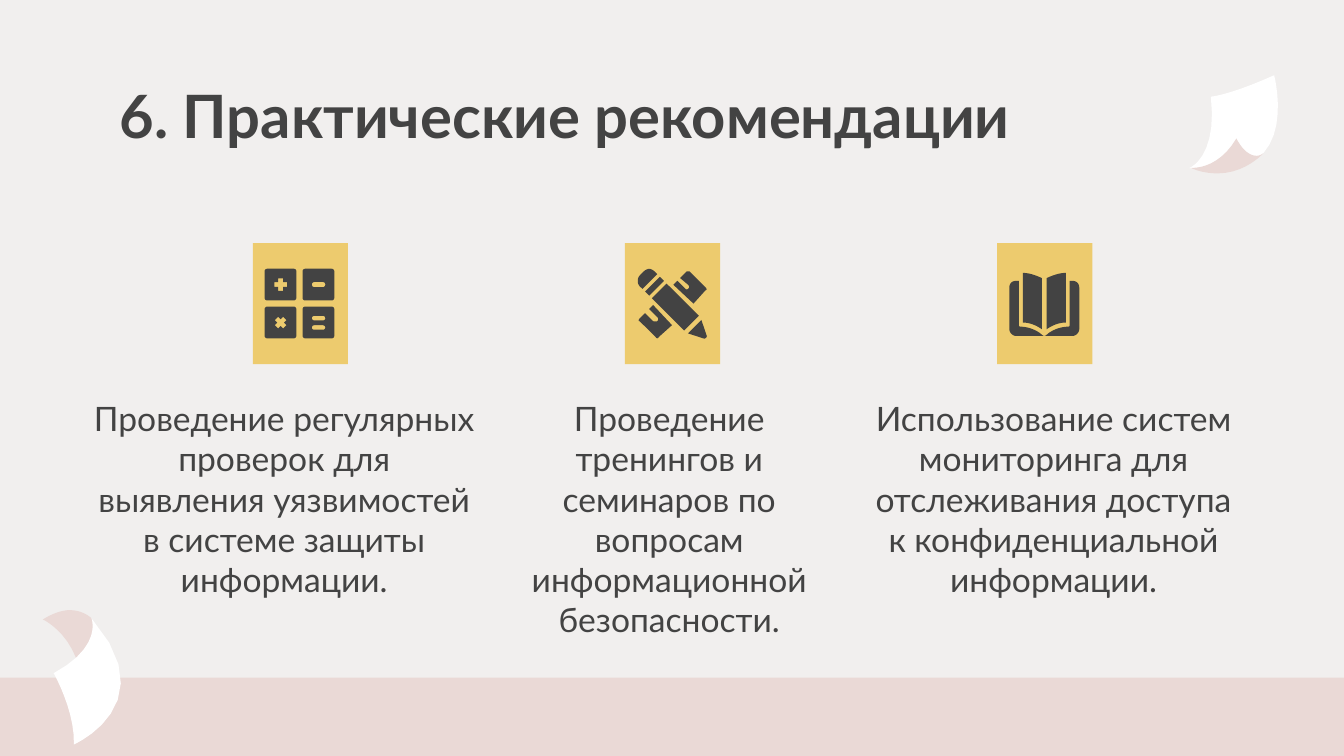
import math

import pptx
import pptx.dml.color
import pptx.enum.shapes
import pptx.enum.text
import pptx.util

Pt = pptx.util.Pt
INK, PAPER, ROSE, GOLD, WHITE = "434343", "F1EFEE", "EAD9D6", "EDCB6E", "FFFFFF"

# Outlines: M, L and C commands as in SVG, in points
CORNER_SHEETS = [
    ("M 682.6 40.3 C 682.6 40.3 689.8 67.7 676.8 82.1 C 676.8 82.1 666 92.2 650.9 92.2 "
     "C 646.6 92.2 642.2 91.4 637.2 90 C 637.2 90 652.3 84.2 648.7 51.8 "
     "C 649.4 51.8 660.2 50.4 682.6 40.3", WHITE),
    ("M 662.4 74.2 C 662.4 74.2 666.7 83.5 673.2 83.5 C 674.6 83.5 676.1 82.8 676.8 82.1 "
     "C 676.8 82.1 667.4 92.9 652.3 92.9 C 648 92.9 643 92.2 637.9 90 "
     "C 643 90 653.8 88.6 662.4 74.2", ROSE),
    ("M 42.5 357.8 C 42.5 357.8 57.6 344.9 49 331.2 C 49 331.2 44.6 326.9 37.4 326.9 "
     "C 33.8 326.9 28.8 328.3 23 331.9 C 23 331.9 37.4 338.4 42.5 357.8", ROSE),
    ("M 39.6 398.9 C 39.6 398.9 89.3 377.3 49 331.2 C 49 331.2 55.4 346.3 28.8 360.7 "
     "C 28.8 360.7 40.3 380.9 39.6 398.9", WHITE),
]

# Icon outlines are measured from the corner of their card
PENCIL_AND_RULER = [
    "M 18.7 18 L 10.8 25.9 L 13 28.1 L 20.9 20.2",
    "M 33.8 15.1 L 33.1 15.1 L 29.5 18.7 L 33.8 22.3 C 34.6 23.1 34.6 23.8 33.8 24.5 "
    "C 33.4 24.9 32.8 24.9 32.4 24.5 L 28.1 20.2 L 25.9 22.3 L 36.7 32.4 L 43.2 25.2 "
    "C 43.9 25.2 43.9 24.5 43.2 23.8 L 34.6 15.1",
    "M 22.3 21.6 L 14.4 29.5 L 31.7 46.8 L 39.6 38.9",
    "M 41 41.1 L 33.8 48.3 L 42.5 51.1 C 43.2 51.1 43.9 50.4 43.9 49.7",
    "M 15.1 33.1 L 13 35.3 L 17.3 39.6 C 18 40.3 18 41.1 17.3 41.8 "
    "C 16.6 42 15.8 42 15.1 41.8 L 10.8 37.5 L 7.9 40.3 C 7.2 41.1 7.2 41.8 7.9 41.8 "
    "L 16.6 50.4 C 16.6 51.1 18 51.1 18 50.4 L 25.2 43.9",
    "M 13 13.7 C 12.2 13.7 10.8 14.4 10.1 15.1 L 7.9 17.3 C 6.5 18.7 6.5 21.6 7.9 23.1 "
    "L 9.4 24.5 L 17.3 16.6 L 15.8 15.1 C 15.1 14.4 13.7 13.7 13 13.7",
]
BOOK_LEFT_HALF = [
    "M 13.7 15.9 L 13.7 42.5 C 17.3 42.5 20.9 43.9 24 46.1 L 24 18.7 "
    "C 20.9 17.3 17.3 15.9 13.7 15.9",
    "M 10.1 20.2 C 8 20.2 6.5 21.6 6.5 23.8 L 6.5 46.1 C 6.5 47.5 8 49.7 10.1 49.7 "
    "L 25.25 49.7 C 24.5 49.7 23.1 48.3 23.1 48.3 C 20.2 46.1 15.9 44.7 12.3 44.7 "
    "C 11.6 44.7 11.6 43.9 11.6 43.2 L 11.6 20.2",
]
BOOK_SPINE = 25.25

CARD_LEFT, CARD_TOP, CARD_PITCH = 135.4, 130.3, 199.4
CARD_WIDTH, CARD_HEIGHT = 51, 64.8

# Text, left and width of each recommendation
RECOMMENDATIONS = [
    ("Проведение регулярных проверок для выявления уязвимостей в системе защиты "
     "информации.", 43.2, 218.2),
    ("Проведение тренингов и семинаров по вопросам информационной безопасности.",
     255.6, 205.9),
    ("Использование систем мониторинга для отслеживания доступа к конфиденциальной "
     "информации.", 461.5, 205.9),
]


def color(code):
    return pptx.dml.color.RGBColor.from_string(code)


def paint(shape, code):
    shape.fill.solid()
    shape.fill.fore_color.rgb = color(code)
    shape.line.fill.background()
    shape.shadow.inherit = False


def add_box(slide, left, top, width, height, code):
    kind = pptx.enum.shapes.MSO_SHAPE.RECTANGLE
    paint(slide.shapes.add_shape(kind, Pt(left), Pt(top), Pt(width), Pt(height)), code)


def add_text(slide, text, left, top, width, height, size, bold=False, align="LEFT"):
    box = slide.shapes.add_textbox(Pt(left), Pt(top), Pt(width), Pt(height))
    frame = box.text_frame
    frame.word_wrap = True
    frame.margin_left = frame.margin_right = Pt(7.2)
    frame.margin_top = frame.margin_bottom = Pt(7.2)
    paragraph = frame.paragraphs[0]
    paragraph.alignment = getattr(pptx.enum.text.PP_ALIGN, align)
    run = paragraph.add_run()
    run.text = text
    run.font.name, run.font.size, run.font.bold = "Lato", Pt(size), bold
    run.font.color.rgb = color(INK)


def trace(outline, steps=10):
    """Turn an outline into points, with its curves cut into short lines."""
    points, tokens = [], outline.split()
    while tokens:
        count = 6 if tokens.pop(0) == "C" else 2
        numbers = [float(token) for token in tokens[:count]]
        del tokens[:count]
        pairs = list(zip(numbers[::2], numbers[1::2]))
        if count == 2:
            points += pairs
            continue
        curve = [points[-1]] + pairs
        for step in range(1, steps + 1):
            t = step / steps
            weights = [math.comb(3, i) * t**i * (1 - t)**(3 - i) for i in range(4)]
            points.append(tuple(sum(w * p[axis] for w, p in zip(weights, curve))
                                for axis in (0, 1)))
    return points


def rounded_box(left, top, width, height, radius):
    corners = [(left + width - radius, top + height - radius), (left + radius, top + height - radius),
               (left + radius, top + radius), (left + width - radius, top + radius)]
    angles = [math.radians(18 * step) for step in range(6)]
    return [(x + radius * math.cos(a + i * math.pi / 2), y + radius * math.sin(a + i * math.pi / 2))
            for i, (x, y) in enumerate(corners) for a in angles]


def cross(x, y, arm, half, turn=0):
    points = []
    for quarter in range(4):
        a = math.radians(turn + 90 * quarter)
        for u, v in ((half, -half), (arm, -half), (arm, half)):
            points.append((x + u * math.cos(a) - v * math.sin(a),
                           y + u * math.sin(a) + v * math.cos(a)))
    return points


def add_outline(slide, contours, code, left=0, top=0):
    """Draw contours as one shape; inner contours are holes."""
    placed = [[(Pt(left + x), Pt(top + y)) for x, y in contour] for contour in contours]
    builder = slide.shapes.build_freeform(*placed[0][0], scale=1.0)
    for number, contour in enumerate(placed):
        if number:
            builder.move_to(*contour[0])
        builder.add_line_segments(contour[1:], close=True)
    paint(builder.convert_to_shape(), code)


def calculator_parts():
    key, pitch, left, top = 17, 20.3, 6.4, 13.7
    signs = [
        [cross(15, 22.2, 3.4, 1.3)],
        [cross(15, 42.6, 3.2, 1.3, turn=45)],
        [rounded_box(31.7, 20.8, 7.2, 2.8, 1.4)],
        [rounded_box(31.7, y, 7.2, 2.4, 1.2) for y in (39, 44)],
    ]
    return [[rounded_box(left + number // 2 * pitch, top + number % 2 * pitch, key, key, 1.4)] + sign
            for number, sign in enumerate(signs)]


def book_parts():
    left_half = [trace(outline) for outline in BOOK_LEFT_HALF]
    right_half = [[(2 * BOOK_SPINE - x, y) for x, y in part] for part in left_half]
    return [[part] for part in left_half + right_half]


def main():
    deck = pptx.Presentation()
    deck.slide_width, deck.slide_height = Pt(720), Pt(405)
    slide = deck.slides.add_slide(deck.slide_layouts[6])

    # Background, bottom band and flying sheets
    slide.background.fill.solid()
    slide.background.fill.fore_color.rgb = color(PAPER)
    add_box(slide, 0, 363, 720, 48, ROSE)
    for outline, code in CORNER_SHEETS:
        add_outline(slide, [trace(outline)], code)

    # Title and recommendations
    add_text(slide, "6. Практические рекомендации", 56.9, 35.3, 607, 45.4, size=32, bold=True)
    for text, left, width in RECOMMENDATIONS:
        add_text(slide, text, left, 205.9, width, 82.8, size=18, align="CENTER")

    # Cards with their icons
    pencil_parts = [[trace(outline)] for outline in PENCIL_AND_RULER]
    for number, icon in enumerate((calculator_parts(), pencil_parts, book_parts())):
        left = CARD_LEFT + number * CARD_PITCH
        add_box(slide, left, CARD_TOP, CARD_WIDTH, CARD_HEIGHT, GOLD)
        for contours in icon:
            add_outline(slide, contours, INK, left, CARD_TOP)

    deck.save("out.pptx")


if __name__ == "__main__":
    main()
